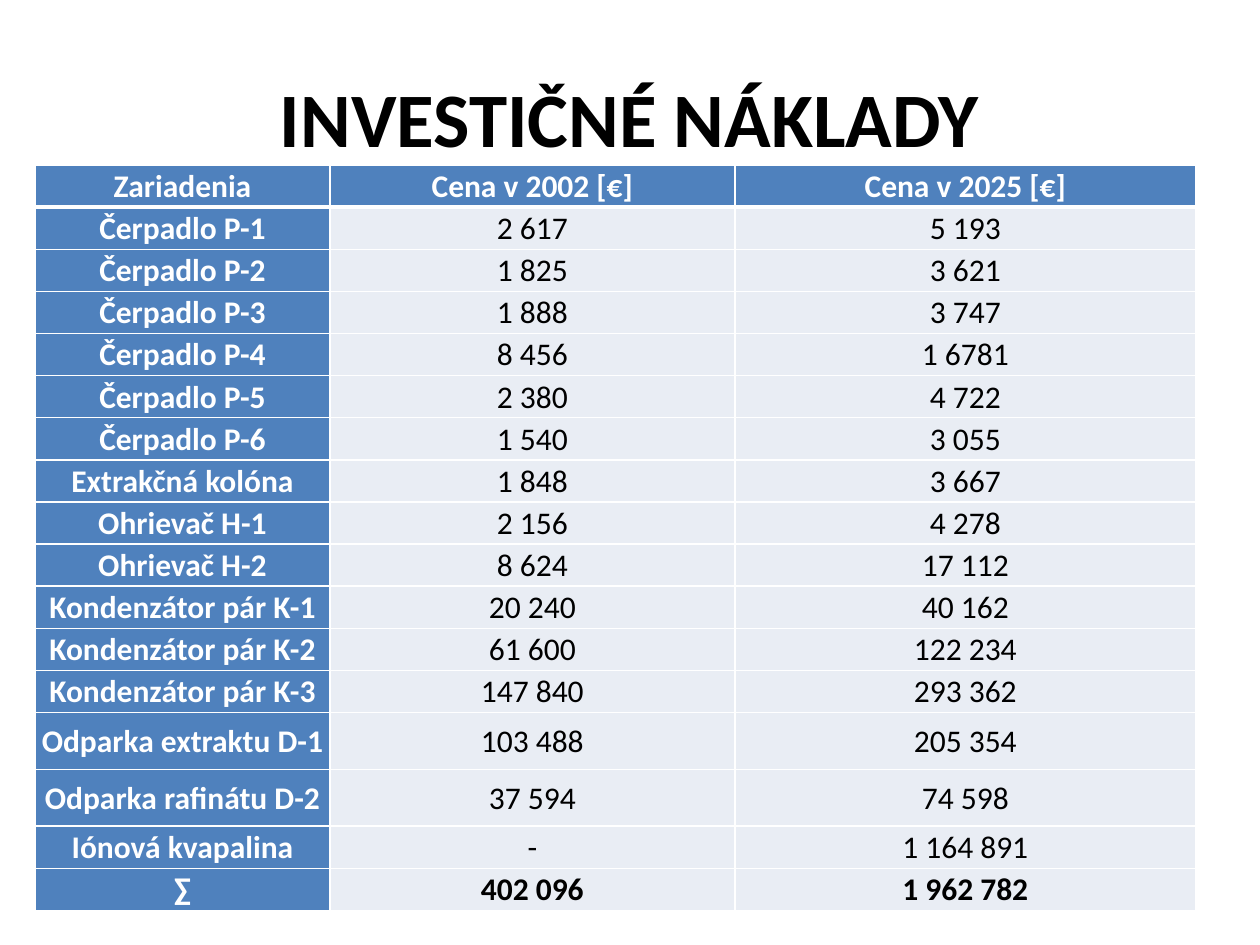
from lxml.etree import SubElement
from pptx import Presentation
from pptx.dml.color import RGBColor
from pptx.enum.text import MSO_ANCHOR as Anchor, PP_ALIGN as Align
from pptx.oxml.ns import qn
from pptx.util import Inches, Pt

COLUMNS, ROWS = 100, 75
WHITE, BLACK, BLUE, PALE = "FFFFFF", "000000", "4F81BD", "E9EDF4"

COSTS = [
    ("Zariadenia", "Cena v 2002 [€]", "Cena v 2025 [€]"),
    ("Čerpadlo P-1", "2 617", "5 193"),
    ("Čerpadlo P-2", "1 825", "3 621"),
    ("Čerpadlo P-3", "1 888", "3 747"),
    ("Čerpadlo P-4", "8 456", "1 6781"),
    ("Čerpadlo P-5", "2 380", "4 722"),
    ("Čerpadlo P-6", "1 540", "3 055"),
    ("Extrakčná kolóna", "1 848", "3 667"),
    ("Ohrievač H-1", "2 156", "4 278"),
    ("Ohrievač H-2", "8 624", "17 112"),
    ("Kondenzátor pár K-1", "20 240", "40 162"),
    ("Kondenzátor pár K-2", "61 600", "122 234"),
    ("Kondenzátor pár K-3", "147 840", "293 362"),
    ("Odparka extraktu D-1", "103 488", "205 354"),
    ("Odparka rafinátu D-2", "37 594", "74 598"),
    ("Iónová kvapalina", "-", "1 164 891"),
    ("∑", "402 096", "1 962 782"),
]


def color(value):
    return RGBColor.from_string(value)


def set_values(target, values):
    for name, value in values.items():
        setattr(target, name, value)


class CostSlide:
    font_name = "Calibri"
    cell_format = {
        "vertical_anchor": Anchor.MIDDLE,
        "margin_left": Inches(0.01),
        "margin_right": Inches(0.01),
        "margin_top": Inches(0.01),
        "margin_bottom": 0,
    }

    def __init__(self, presentation):
        self.slide = presentation.slides.add_slide(presentation.slide_layouts[6])
        self.column = presentation.slide_width / COLUMNS
        self.row = presentation.slide_height / ROWS

    def place(self, left, top, width, height):
        return (round(left * self.column), round(top * self.row),
                round(width * self.column), round(height * self.row))

    def add_text(self, frame, text, size, fill, bold):
        paragraph = frame.paragraphs[0]
        paragraph.alignment = Align.CENTER
        run = paragraph.add_run()
        run.text = text
        set_values(run.font, {"name": self.font_name, "size": Pt(size), "bold": bold})
        run.font.color.rgb = color(fill)

    def title(self, text, *area):
        frame = self.slide.shapes.add_textbox(*self.place(*area)).text_frame
        set_values(frame, {"word_wrap": True, "vertical_anchor": Anchor.MIDDLE})
        self.add_text(frame, text, 44, BLACK, True)

    def borders(self, cell, widths):
        properties = cell._tc.get_or_add_tcPr()
        for side, width in widths.items():
            line = SubElement(properties, qn(f"a:ln{side}"), w=str(Pt(width)))
            solid = SubElement(line, qn("a:solidFill"))
            SubElement(solid, qn("a:srgbClr"), val=WHITE)

    def table(self, records, column_shares, row_shares, *area):
        left, top, width, height = self.place(*area)
        table = self.slide.shapes.add_table(
            len(records), len(column_shares), left, top, width, height).table
        for column, share in zip(table.columns, column_shares):
            column.width = round(width * share / sum(column_shares))
        for row, share in zip(table.rows, row_shares):
            row.height = round(height * share / sum(row_shares))
        last = len(records) - 1
        for row_index, record in enumerate(records):
            for column_index, text in enumerate(record):
                cell = table.cell(row_index, column_index)
                heading = row_index == 0 or column_index == 0
                set_values(cell, self.cell_format)
                self.borders(cell, {"L": 1, "R": 1,
                                    "T": 3 if row_index == 1 else 1,
                                    "B": 3 if row_index == 0 else 1})
                cell.fill.solid()
                cell.fill.fore_color.rgb = color(BLUE if heading else PALE)
                self.add_text(cell.text_frame, text, 18, WHITE if heading else BLACK,
                              heading or row_index == last)


def main():
    presentation = Presentation()
    set_values(presentation, {"slide_width": Inches(10), "slide_height": Inches(7.5)})
    costs = CostSlide(presentation)
    costs.title("INVESTIČNÉ NÁKLADY", 5, 3, 90, 12.5)
    row_shares = [1.35 if record[0].startswith("Odparka") else 1 for record in COSTS]
    costs.table(COSTS, (2.34, 3.22, 3.66), row_shares, 2.8, 13.1, 92.1, 59.2)
    presentation.save("out.pptx")


if __name__ == "__main__":
    main()
